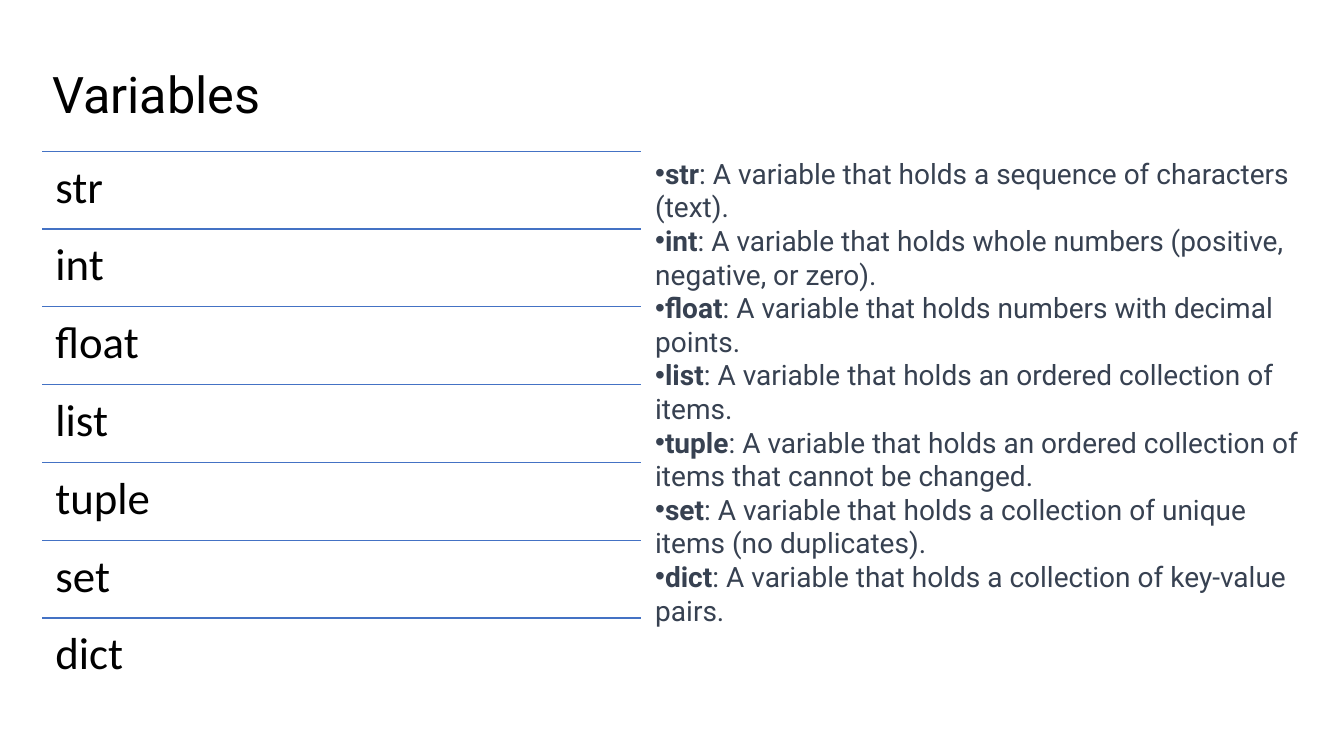
from lxml import etree
from pptx import Presentation
from pptx.dml.color import RGBColor
from pptx.enum import shapes, text
from pptx.oxml.ns import qn
from pptx.util import Inches, Pt

BLACK = RGBColor(0x00, 0x00, 0x00)
SLATE = RGBColor(0x37, 0x41, 0x51)
BLUE = RGBColor(0x44, 0x72, 0xC4)

LEFT, TOP = 0.42, 1.5
WIDTH, PITCH = 5.94, 0.772

TYPES = {
    "str": "A variable that holds a sequence of characters (text).",
    "int": "A variable that holds whole numbers (positive, negative, or zero).",
    "float": "A variable that holds numbers with decimal points.",
    "list": "A variable that holds an ordered collection of items.",
    "tuple": "A variable that holds an ordered collection of items that cannot be changed.",
    "set": "A variable that holds a collection of unique items (no duplicates).",
    "dict": "A variable that holds a collection of key-value pairs.",
}


def add_box(slide, left, top, width, height):
    box = slide.shapes.add_textbox(
        Inches(left), Inches(top), Inches(width), Inches(height))
    frame = box.text_frame
    frame.word_wrap = True
    return frame


def set_font(para, name, size, color):
    para.font.name = name
    para.font.size = Pt(size)
    para.font.color.rgb = color


def add_title(slide, words):
    frame = add_box(slide, LEFT, 0.42, 12.5, 1.08)
    frame.vertical_anchor = text.MSO_ANCHOR.MIDDLE
    para = frame.paragraphs[0]
    para.text = words
    para.line_spacing = 0.9
    set_font(para, "Roboto", 36, BLACK)


def add_rule(slide, top):
    rule = slide.shapes.add_connector(
        shapes.MSO_CONNECTOR.STRAIGHT,
        Inches(LEFT), Inches(top), Inches(LEFT + WIDTH), Inches(top))
    rule.line.color.rgb = BLUE
    rule.line.width = Pt(1)
    etree.SubElement(rule._element.spPr, qn("a:effectLst"))


def add_row(slide, top, name):
    add_rule(slide, top)
    frame = add_box(slide, LEFT, top, WIDTH, PITCH)
    frame.margin_left = frame.margin_right = Inches(0.13)
    frame.margin_top = frame.margin_bottom = Inches(0.13)
    para = frame.paragraphs[0]
    para.text = name
    para.line_spacing = 0.9
    set_font(para, "Calibri", 32, BLACK)


def add_bullet(para):
    props = para._p.get_or_add_pPr()
    font = etree.SubElement(props, qn("a:buFont"))
    font.set("typeface", "Arial")
    mark = etree.SubElement(props, qn("a:buChar"))
    mark.set("char", "•")


def add_notes(slide):
    """List each type in bold with its meaning after it."""
    frame = add_box(slide, 6.4, TOP, 6.82, 4.81)
    frame.auto_size = text.MSO_AUTO_SIZE.SHAPE_TO_FIT_TEXT
    for index, (name, sense) in enumerate(TYPES.items()):
        para = frame.add_paragraph() if index else frame.paragraphs[0]
        add_bullet(para)
        set_font(para, "Roboto", 20, SLATE)
        term = para.add_run()
        term.text = name
        term.font.bold = True
        para.add_run().text = f": {sense}"


def main():
    deck = Presentation()
    deck.slide_width = Inches(13.33)
    deck.slide_height = Inches(7.5)
    slide = deck.slides.add_slide(deck.slide_layouts[6])
    add_title(slide, "Variables")
    for index, name in enumerate(TYPES):
        add_row(slide, TOP + index * PITCH, name)
    add_notes(slide)
    deck.save("out.pptx")


if __name__ == "__main__":
    main()
